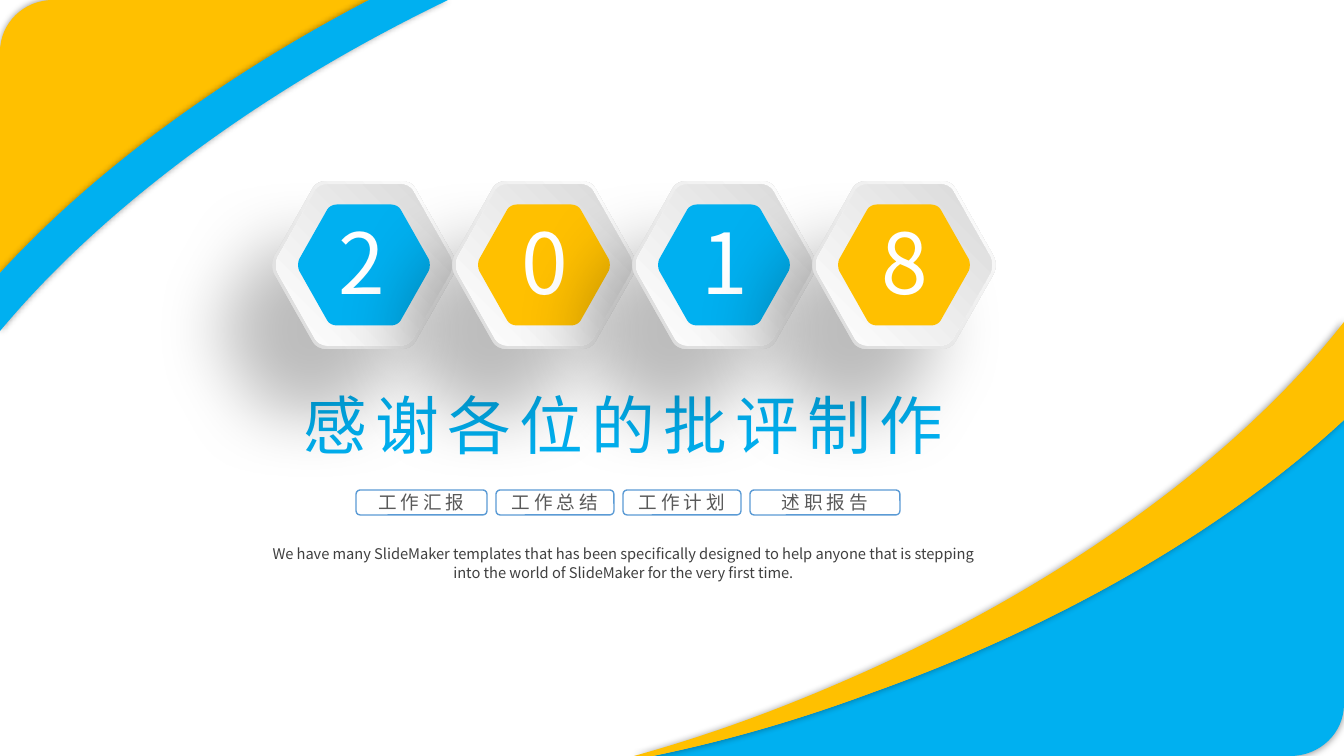
import pptx
import pptx.dml.color
import pptx.enum.shapes
import pptx.enum.text
import pptx.oxml
import pptx.oxml.ns
import pptx.util

# Content; lengths in px
FONT = "Noto Sans CJK SC"
COLORS = {"blue": "00B0F0", "gold": "FFC000", "white": "FFFFFF", "silver": "D9D9D9",
          "pill": "5B9BD5", "label": "595959", "body": "404040", "shadow": "000000"}
TITLE = "感谢各位的批评制作"
SUBTITLE = ("We have many SlideMaker templates that has been specifically designed to help "
            "anyone that is stepping into the world of SlideMaker for the very first time.")
PILLS = [("工作汇报", 131), ("工作总结", 118), ("工作计划", 118), ("述职报告", 150)]
# digit, colour, sideways shift of the digit
DIGITS = [("2", "blue", -3), ("0", "gold", 0), ("1", "blue", 0), ("8", "gold", 0)]

# Each band: colour, start, then segments (one point = line, three = Bézier curve)
BANDS = [
    ("blue", (653, 756), [
        [(1290, 756)], [(1320, 756), (1344, 733), (1344, 704)], [(1344, 420)],
        [(1232, 524), (1067, 623), (874, 692)], [(799, 720), (726, 741), (653, 756)]]),
    ("gold", (844, 681), [
        [(773, 712), (703, 737), (634, 756)], [(653, 756)],
        [(726, 741), (799, 720), (874, 692)], [(1067, 623), (1232, 524), (1344, 420)],
        [(1344, 322)], [(1241, 454), (1064, 586), (844, 681)]]),
    ("gold", (369, 0), [
        [(53, 0)], [(24, 0), (0, 23), (0, 52)], [(0, 273)],
        [(90, 175), (216, 80), (369, 0)]]),
    ("blue", (369, 0), [
        [(216, 80), (90, 175), (0, 273)], [(0, 331)],
        [(99, 212), (255, 93), (448, 0)], [(369, 0)]]),
]
# Right half of a rounded hexagon around its centre
HEXAGON_START = (38, -84)
HEXAGON_HALF = [[(43, -84), (49, -81), (51, -77)], [(90, -8)], [(92, -4), (92, 4), (90, 8)],
                [(51, 77)], [(49, 81), (43, 84), (38, 84)], [(-38, 84)]]
BAND_SHADOW = (40, 5, 0, 0)        # opacity %, blur pt, distance pt, direction degrees
HEXAGON_SHADOW = (25, 50, 60, 130)

# Layout
FIRST_CENTER, CENTER_Y, PITCH = 364, 265, 180
RIM_SCALE, FACE_SCALE, CORE_SCALE = 1, 0.96, 0.72
PILL_LEFT, PILL_TOP, PILL_HEIGHT, PILL_GAP = 356, 490, 25, 9
SCALE = 914400 / 100.8


def px(length):
    return pptx.util.Emu(round(length * SCALE))


def rgb(name):
    return pptx.dml.color.RGBColor.from_string(COLORS[name])


def xml(body):
    return pptx.oxml.parse_xml(body.replace(">", " " + pptx.oxml.ns.nsdecls("a") + ">", 1))


def hexagon(center_x, scale):
    """Start and segments of a hexagon; the left half is the right half turned around."""
    def move(point, sign=1):
        return center_x + sign * scale * point[0], CENTER_Y + sign * scale * point[1]

    segments = [[move(point, sign) for point in segment]
                for sign in (1, -1) for segment in HEXAGON_HALF]
    return move(HEXAGON_START), segments


def add_freeform(shapes, start, segments, fill, shadow=None):
    builder = shapes.build_freeform(px(start[0]), px(start[1]))
    builder.add_line_segments([(px(s[-1][0]), px(s[-1][1])) for s in segments], close=True)
    shape = builder.convert_to_shape()
    properties = shape._element.spPr

    # Bend the sides that have control points
    sides = list(properties.iter(pptx.oxml.ns.qn("a:lnTo")))
    for side, segment in zip(sides, segments):
        if len(segment) == 3:
            points = "".join(f'<a:pt x="{px(x) - shape.left}" y="{px(y) - shape.top}"/>'
                             for x, y in segment)
            side.getparent().replace(side, xml(f"<a:cubicBezTo>{points}</a:cubicBezTo>"))

    shape.line.fill.background()
    shape.shadow.inherit = False
    if isinstance(fill, tuple):    # radial gradient spreading from the top right
        first, last = (COLORS[name] for name in fill)
        properties[1].addnext(xml(
            f'<a:gradFill><a:gsLst><a:gs pos="0"><a:srgbClr val="{first}"/></a:gs>'
            f'<a:gs pos="100000"><a:srgbClr val="{last}"/></a:gs></a:gsLst>'
            '<a:path path="circle"><a:fillToRect l="100000" b="100000"/></a:path></a:gradFill>'))
    else:
        shape.fill.solid()
        shape.fill.fore_color.rgb = rgb(fill)
    if shadow:
        opacity, blur, distance, direction = shadow
        effects = properties.find(pptx.oxml.ns.qn("a:effectLst"))
        effects.append(xml(
            f'<a:outerShdw blurRad="{blur * 12700}" dist="{distance * 12700}" '
            f'dir="{direction * 60000}" algn="ctr" rotWithShape="0">'
            f'<a:srgbClr val="{COLORS["shadow"]}"><a:alpha val="{opacity * 1000}"/>'
            '</a:srgbClr></a:outerShdw>'))


def write(shape, text, size, color, spacing=0, anchor="TOP", wrap=True):
    frame = shape.text_frame
    frame.word_wrap = wrap
    frame.auto_size = pptx.enum.text.MSO_AUTO_SIZE.NONE
    frame.vertical_anchor = getattr(pptx.enum.text.MSO_ANCHOR, anchor)
    frame.text = text
    paragraph = frame.paragraphs[0]
    paragraph.alignment = pptx.enum.text.PP_ALIGN.CENTER
    paragraph.space_before = pptx.util.Pt(0)
    paragraph.font.size = pptx.util.Pt(size)
    paragraph.font.name = FONT
    paragraph.font.color.rgb = rgb(color)
    # East Asian typeface and letter spacing
    run_properties = paragraph.runs[0]._r.get_or_add_rPr()
    run_properties.append(xml(f'<a:ea typeface="{FONT}"></a:ea>'))
    if spacing:
        run_properties.set("spc", str(round(spacing * 100)))
    return paragraph


def place(shape, left, top, width, height):
    shape.left, shape.top, shape.width, shape.height = map(px, (left, top, width, height))


def main():
    presentation = pptx.Presentation()
    presentation.slide_width, presentation.slide_height = px(1344), px(756)
    slide = presentation.slides.add_slide(presentation.slide_layouts[0])
    shapes = slide.shapes

    # Title and subtitle
    title, subtitle = slide.placeholders
    place(title, 289, 382, 669, 85)
    write(title, TITLE, 45.5, "blue", spacing=6, wrap=False)
    frame = title.text_frame
    frame.margin_left = frame.margin_right = px(7)
    frame.margin_top = frame.margin_bottom = px(4)
    place(subtitle, 251, 538, 745, 49)
    write(subtitle, SUBTITLE, 10.5, "body").line_spacing = 1.1

    # Corner bands
    for color, start, segments in BANDS:
        add_freeform(shapes, start, segments, color, BAND_SHADOW)

    # Topic pills
    left = PILL_LEFT
    for label, width in PILLS:
        pill = shapes.add_shape(pptx.enum.shapes.MSO_SHAPE.ROUNDED_RECTANGLE,
                                px(left), px(PILL_TOP), px(width), px(PILL_HEIGHT))
        pill.shadow.inherit = False
        pill.fill.background()
        pill.line.color.rgb = rgb("pill")
        pill.line.width = pptx.util.Pt(1)
        write(pill, label, 13.3, "label", spacing=2.8, anchor="MIDDLE")
        left += width + PILL_GAP

    # Year hexagons
    for index, (digit, color, shift) in enumerate(DIGITS):
        center = FIRST_CENTER + index * PITCH
        parts = shapes.add_group_shape().shapes
        add_freeform(parts, *hexagon(center, RIM_SCALE), ("white", "silver"), HEXAGON_SHADOW)
        add_freeform(parts, *hexagon(center, FACE_SCALE), ("silver", "white"))
        add_freeform(parts, *hexagon(center, CORE_SCALE), color)
        box = parts.add_textbox(px(center - 70 + shift), px(206), px(141), px(112))
        write(box, digit, 60, "white")

    presentation.save("out.pptx")


if __name__ == "__main__":
    main()
